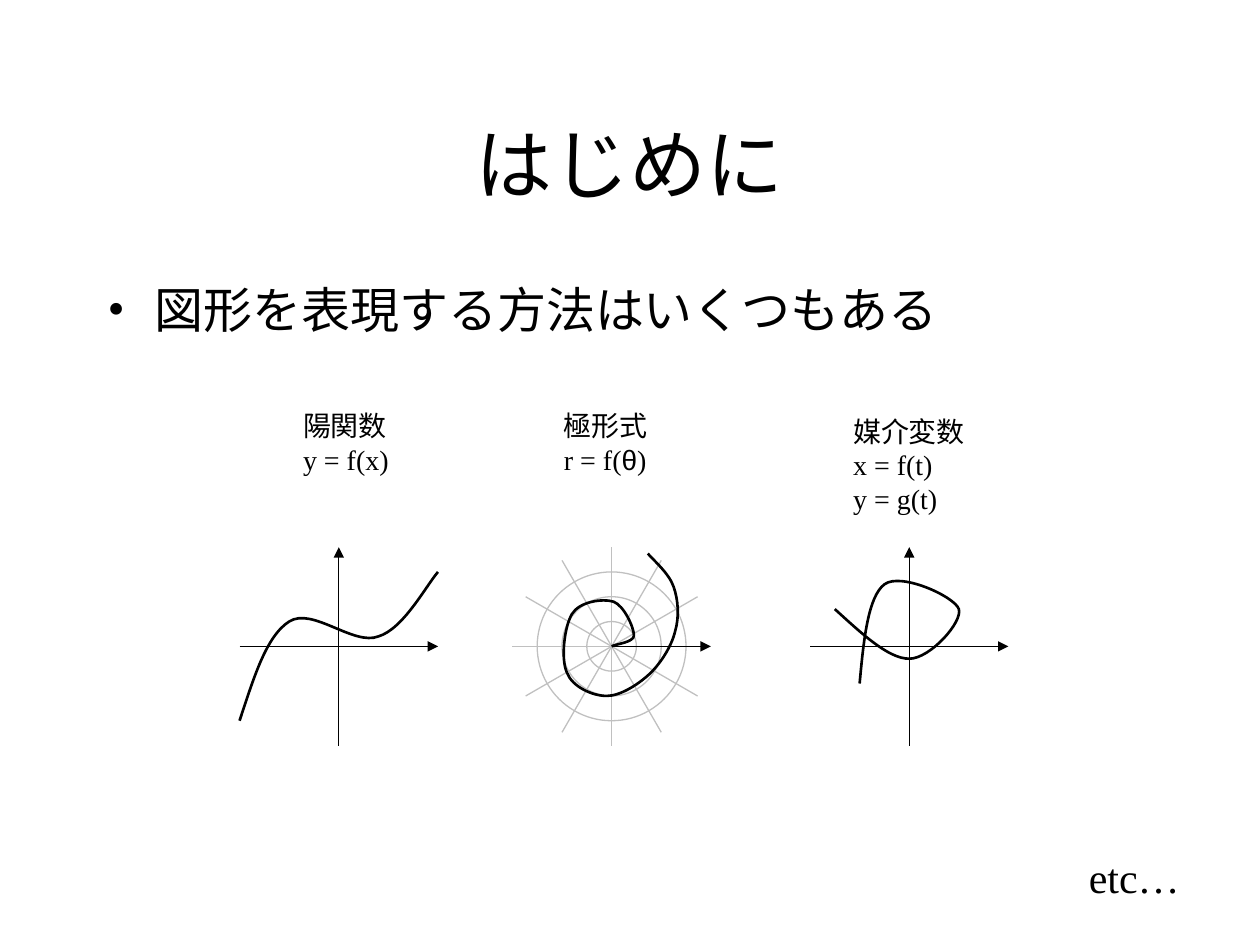
"""Build the introduction slide on ways to express a curve."""
from math import cos, radians, sin

from lxml.etree import SubElement
from pptx import Presentation
from pptx.dml.color import RGBColor
from pptx.enum.shapes import MSO_CONNECTOR as Connector, MSO_SHAPE as Shape
from pptx.enum.text import MSO_ANCHOR as Anchor, MSO_AUTO_SIZE as AutoSize, PP_ALIGN as Align
from pptx.oxml.ns import qn
from pptx.util import Cm, Pt

COLORS = {"ink": "000000", "grid": "C0C0C0"}
SERIF, BODY, GREEK = "Times New Roman", "TeX Gyre Schola", "Arial"
AXIS = 2
CENTER_Y = 13.03
EXPLICIT_X, POLAR_X, PARAMETRIC_X = 6.83, 12.33, 18.33

EXPLICIT_CURVE = [
    (-2, 1.5), (-1.72, 0.66), (-1.47, -0.2), (-1, -0.5),
    (-0.53, -0.8), (0.3, 0), (0.8, -0.2), (1.3, -0.35), (1.76, -1.22), (2, -1.5),
]
SPIRAL = [
    (0.73, -1.87), (0.83, -1.75), (1.16, -1.47), (1.25, -1.2),
    (1.34, -0.95), (1.37, -0.6), (1.28, -0.3), (1.21, 0), (0.98, 0.36), (0.75, 0.57),
    (0.52, 0.78), (0.17, 1), (-0.1, 1), (-0.39, 1), (-0.8, 0.81), (-0.9, 0.53),
    (-1.03, 0.25), (-0.95, -0.4), (-0.8, -0.65), (-0.65, -0.9), (-0.19, -0.97), (0.04, -0.9),
    (0.25, -0.82), (0.45, -0.38), (0.45, -0.22), (0.45, -0.08), (0.1, -0.05), (0, 0),
]
PARAMETRIC_CURVE = [
    (-1, 0.75), (-0.92, -0.13), (-0.83, -1), (-0.5, -1.25),
    (-0.17, -1.5), (0.92, -1), (1, -0.75), (1.08, -0.49), (0.42, 0.25), (0, 0.25),
    (-0.42, 0.25), (-0.95, -0.25), (-1.5, -0.75),
]


class Sketch:
    """Hold the slide and its drawing style."""

    def __init__(self, slide):
        self.slide = slide
        self.shapes = slide.shapes

    def color(self, name):
        """Look up a named colour."""
        return RGBColor.from_string(COLORS[name])

    def outline(self, line, color, width):
        """Style a line."""
        line.color.rgb = self.color(color)
        line.width = Pt(width)

    def text(self, box, lines, size, font=SERIF, align=Align.LEFT,
             anchor=Anchor.TOP, wrap=False, bullet=False):
        """Write lines, each a list of (text, font override) runs or a string."""
        frame = self.shapes.add_textbox(*map(Cm, box)).text_frame
        frame.word_wrap = wrap
        frame.auto_size = AutoSize.NONE if wrap else AutoSize.SHAPE_TO_FIT_TEXT
        frame.vertical_anchor = anchor
        for index, content in enumerate(lines):
            paragraph = frame.add_paragraph() if index else frame.paragraphs[0]
            paragraph.alignment = align
            if bullet:
                self.bullet(paragraph)
            paragraph.font.size = Pt(size)
            paragraph.font.name = font
            paragraph.font.color.rgb = self.color("ink")
            for words, override in [(content, None)] if isinstance(content, str) else content:
                run = paragraph.add_run()
                run.text = words
                if override:
                    run.font.name = override

    def bullet(self, paragraph):
        """Give a paragraph a hanging round bullet."""
        properties = paragraph._p.get_or_add_pPr()
        properties.set("marL", str(Cm(0.95)))
        properties.set("indent", str(-Cm(0.95)))
        SubElement(properties, qn("a:buFont"), typeface=SERIF)
        SubElement(properties, qn("a:buChar"), char="•")

    def line(self, start, end, color="ink", arrow=False):
        """Draw a straight line, with an arrowhead at its end if asked."""
        connector = self.shapes.add_connector(Connector.STRAIGHT, *map(Cm, (*start, *end)))
        self.outline(connector.line, color, 0.75)
        if arrow:
            SubElement(connector.line._get_or_add_ln(), qn("a:tailEnd"), type="triangle")
        SubElement(connector._element.spPr, qn("a:effectLst"))

    def axes(self, x):
        """Draw a pair of crossing axes."""
        self.line((x - AXIS, CENTER_Y), (x + AXIS, CENTER_Y), arrow=True)
        self.line((x, CENTER_Y + AXIS), (x, CENTER_Y - AXIS), arrow=True)

    def polar_grid(self, x):
        """Draw spokes, rings and the polar axis."""
        for angle in (90, 30, 60, 120, 150):
            dx, dy = AXIS * cos(radians(angle)), AXIS * sin(radians(angle))
            self.line((x - dx, CENTER_Y + dy), (x + dx, CENTER_Y - dy), "grid")
        self.line((x - AXIS, CENTER_Y), (x, CENTER_Y), "grid")
        for radius in (1, 1.5, 0.5):
            ring = self.shapes.add_shape(
                Shape.OVAL, Cm(x - radius), Cm(CENTER_Y - radius), Cm(2 * radius), Cm(2 * radius))
            ring.shadow.inherit = False
            ring.fill.background()
            self.outline(ring.line, "grid", 0.75)
        self.line((x, CENTER_Y), (x + AXIS, CENTER_Y), arrow=True)

    def curve(self, x, controls):
        """Draw a chain of cubic curves around the centre of its axes."""
        points = [(Cm(x + dx), Cm(CENTER_Y + dy)) for dx, dy in controls]
        builder = self.shapes.build_freeform(*points[0])
        builder.add_line_segments(points[1:], close=False)
        curve = builder.convert_to_shape()
        outline = next(curve._element.iter(qn("a:path")))
        segments = outline.findall(qn("a:lnTo"))
        for first in range(0, len(segments), 3):
            cubic = SubElement(outline, qn("a:cubicBezTo"))
            for segment in segments[first:first + 3]:
                cubic.append(segment[0])
                outline.remove(segment)
        curve.shadow.inherit = False
        curve.fill.background()
        self.outline(curve.line, "ink", 1.5)


def main():
    """Compose and save the slide."""
    deck = Presentation()
    deck.slide_width, deck.slide_height = Cm(25.4), Cm(19.05)
    sketch = Sketch(deck.slides.add_slide(deck.slide_layouts[6]))

    sketch.text((1.9, 1.7, 21.6, 3.18), ["はじめに"], 44,
                align=Align.CENTER, anchor=Anchor.MIDDLE, wrap=True)
    sketch.text((1.92, 5.52, 21.6, 5.5), ["図形を表現する方法はいくつもある"], 28,
                font=BODY, wrap=True, bullet=True)
    sketch.text((5.86, 8.12, 2.24, 1.63), ["陽関数", "y = f(x)"], 16)
    polar_formula = [("r = f(", None), ("θ", GREEK), (")", None)]
    sketch.text((11.12, 8.12, 2.24, 1.63), ["極形式", polar_formula], 16)
    sketch.text((16.95, 8.23, 2.8, 2.29), ["媒介変数", "x = f(t)", "y = g(t)"], 16)

    sketch.axes(EXPLICIT_X)
    sketch.curve(EXPLICIT_X, EXPLICIT_CURVE)
    sketch.polar_grid(POLAR_X)
    sketch.curve(POLAR_X, SPIRAL)
    sketch.axes(PARAMETRIC_X)
    sketch.curve(PARAMETRIC_X, PARAMETRIC_CURVE)

    sketch.text((21.7, 17.04, 2.34, 1.27), ["etc…"], 24)
    deck.save("out.pptx")


if __name__ == "__main__":
    main()
